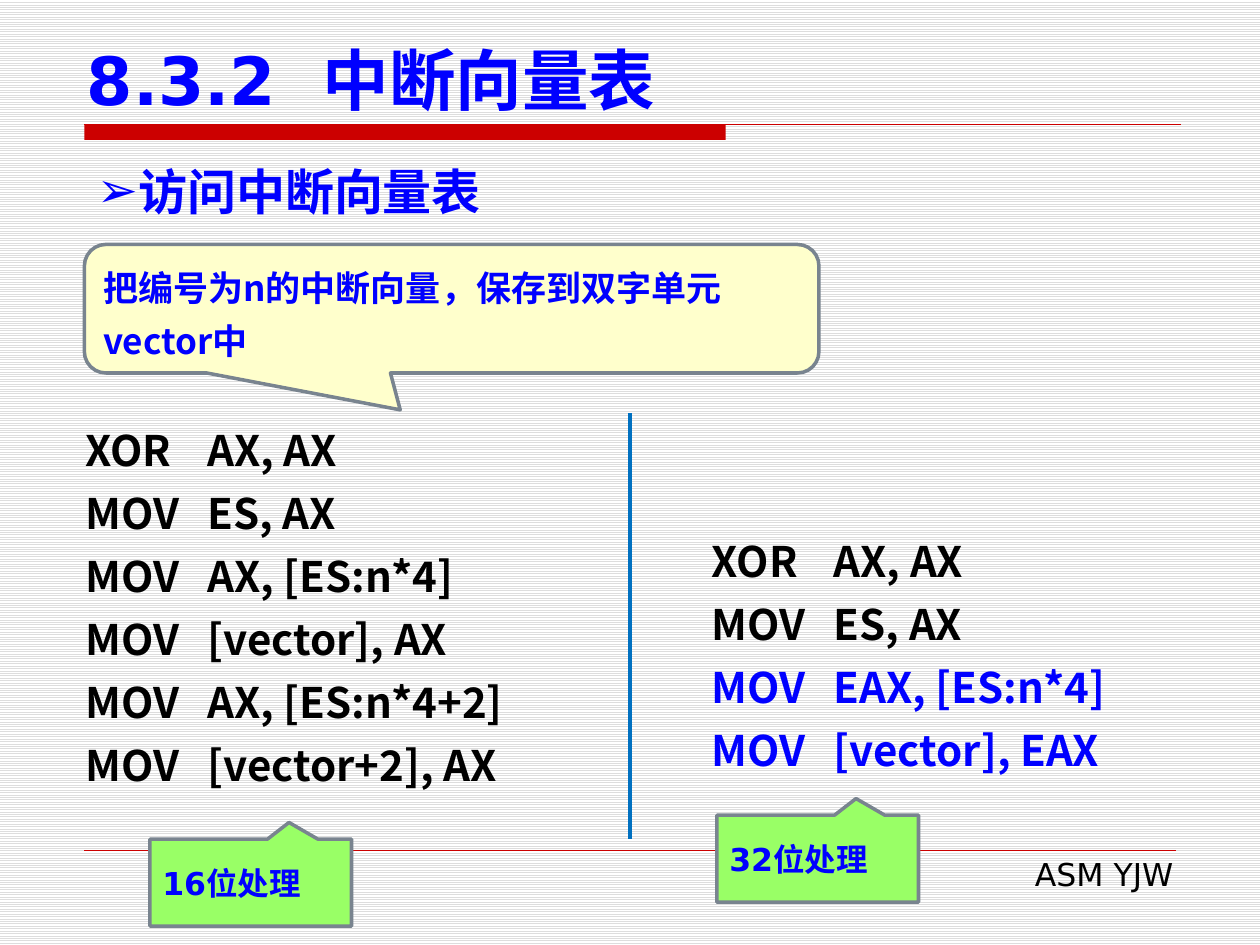
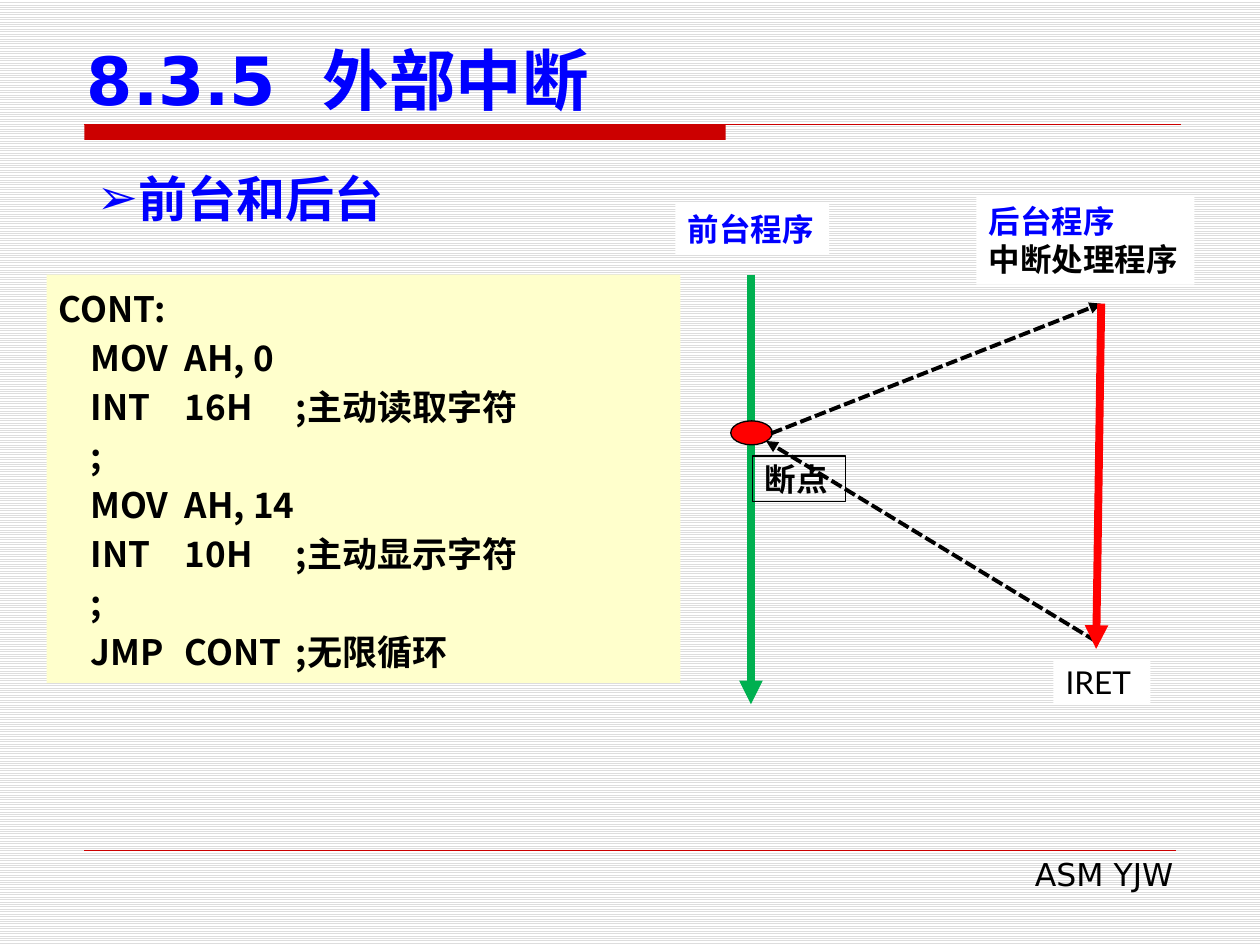
import dataclasses

import lxml.etree
import pptx
import pptx.dml.color
import pptx.enum.dml
import pptx.enum.shapes
import pptx.enum.text
import pptx.oxml.ns
import pptx.util

Inches = pptx.util.Inches
Pt = pptx.util.Pt
RGB = pptx.dml.color.RGBColor.from_string
SHAPE = pptx.enum.shapes.MSO_SHAPE
ALIGN = pptx.enum.text.PP_ALIGN
ANCHOR = pptx.enum.text.MSO_ANCHOR
qn = pptx.oxml.ns.qn


@dataclasses.dataclass(frozen=True)
class Theme:
    blue: str = "0000FF"
    black: str = "000000"
    white: str = "FFFFFF"
    red: str = "FF0000"
    bar: str = "CC0000"
    stripe: str = "DDDDDD"
    cream: str = "FFFFCC"
    lime: str = "99FF66"
    border: str = "79848F"
    divider: str = "0070C0"
    green: str = "00B050"
    head_font: str = "DejaVu Sans"
    code_font: str = "Noto Sans CJK SC"
    label_font: str = "Lato"
    title: int = 38
    heading: int = 28
    code: int = 24
    body: int = 20
    label: int = 18


T = Theme()


def box_of(*lengths):
    return [Inches(n) for n in lengths]


def add_xml(parent, tag, **attrs):
    return lxml.etree.SubElement(parent, qn(tag), attrs)


def add_run(p, text, size, font, color, bold=True):
    r = p.add_run()
    r.text = text
    r.font.size = Pt(size)
    r.font.bold = bold
    r.font.color.rgb = RGB(color)
    r.font.name = font
    add_xml(r._r.get_or_add_rPr(), "a:ea", typeface=T.code_font)


def write_lines(tf, lines, size, font, bold=True, spacing=None, stops=()):
    for i, (text, color) in enumerate(lines):
        p = tf.add_paragraph() if i else tf.paragraphs[0]
        p.alignment = ALIGN.LEFT
        if spacing:
            p.line_spacing = Pt(spacing)
        if stops:
            tabs = add_xml(p._p.get_or_add_pPr(), "a:tabLst")
            for stop in stops:
                add_xml(tabs, "a:tab", pos=str(Inches(stop)), algn="l")
        add_run(p, text, size, font, color)
        p.runs[0].font.bold = bold


def add_text(s, box):
    tf = s.shapes.add_textbox(*box_of(*box)).text_frame
    tf.word_wrap = True
    return tf


def add_box(s, kind, box, fill=None, line=None, width=0.75, adj=()):
    sp = s.shapes.add_shape(kind, *box_of(*box))
    sp.shadow.inherit = False
    if fill:
        sp.fill.solid()
        sp.fill.fore_color.rgb = RGB(fill)
    else:
        sp.fill.background()
    if line:
        sp.line.color.rgb = RGB(line)
        sp.line.width = Pt(width)
    else:
        sp.line.fill.background()
    for i, value in enumerate(adj):
        sp.adjustments[i] = value
    return sp


def add_line(s, start, end, color, width, dash=None, arrow=False):
    c = s.shapes.add_connector(
        pptx.enum.shapes.MSO_CONNECTOR.STRAIGHT, *box_of(*start, *end))
    c.line.color.rgb = RGB(color)
    c.line.width = Pt(width)
    ln = c.get_or_add_ln()
    if dash:
        add_xml(ln, "a:prstDash", val=dash)
    if arrow:
        add_xml(ln, "a:tailEnd", type="triangle")
    add_xml(c.element.spPr, "a:effectLst")
    return c


def add_label(s, box, lines, fill=T.white, line=None, bold=True):
    sp = add_box(s, SHAPE.RECTANGLE, box, fill, line)
    tf = sp.text_frame
    tf.word_wrap = False
    tf.vertical_anchor = ANCHOR.MIDDLE
    write_lines(tf, lines, T.label, T.label_font, bold)


def add_callout(s, kind, box, adj, fill, text, size, font, spacing=None):
    sp = add_box(s, kind, box, fill, T.border, 2, adj)
    sp.text_frame.vertical_anchor = ANCHOR.MIDDLE
    write_lines(sp.text_frame, [(text, T.blue)], size, font, spacing=spacing)


def add_code(tf, lines, size, spacing, stops):
    write_lines(tf, lines, size, T.code_font, spacing=spacing, stops=stops)


def add_heading(s, top, text):
    tf = add_text(s, (0.67, top, 8.66, 0.57))
    write_lines(tf, [(text, T.blue)], T.heading, T.head_font)
    pPr = tf.paragraphs[0]._p.get_or_add_pPr()
    pPr.set("marL", str(Inches(0.33)))
    pPr.set("indent", str(-Inches(0.33)))
    add_xml(pPr, "a:buFont", typeface=T.head_font)
    add_xml(pPr, "a:buChar", char="➢")


def add_titled_slide(prs, title):
    s = prs.slides.add_slide(prs.slide_layouts[5])
    sp = s.shapes.title
    sp.left, sp.top, sp.width, sp.height = box_of(0.59, 0.28, 9.06, 0.71)
    sp.text_frame.vertical_anchor = ANCHOR.BOTTOM
    write_lines(sp.text_frame, [(title, T.blue)], T.title, T.head_font)
    return s


def dress_layout(layout, s):
    fill = layout.background.fill
    fill.patterned()
    fill.pattern = pptx.enum.dml.MSO_PATTERN.LIGHT_HORIZONTAL
    fill.fore_color.rgb = RGB(T.stripe)
    fill.back_color.rgb = RGB(T.white)
    for ph in list(layout.placeholders):
        if ph.placeholder_format.type != pptx.enum.shapes.PP_PLACEHOLDER.TITLE:
            layout.shapes.element.remove(ph.element)

    add_box(s, SHAPE.RECTANGLE, (0.67, 0.99, 5.09, 0.12), T.bar)
    add_line(s, (0.67, 0.99), (9.37, 0.99), T.bar, 0.75)
    add_line(s, (0.67, 6.75), (9.33, 6.75), T.bar, 0.25)
    tf = add_text(s, (3.82, 6.74, 5.59, 0.4))
    write_lines(tf, [("ASM YJW", T.black)], T.label, T.head_font, bold=False)
    tf.paragraphs[0].alignment = ALIGN.RIGHT
    for sp in list(s.shapes):
        if not sp.is_placeholder:
            layout.shapes.element.append(sp.element)


def fill_vector_slide(s):
    add_heading(s, 1.23, "访问中断向量表")
    add_callout(s, SHAPE.ROUNDED_RECTANGULAR_CALLOUT, (0.67, 1.94, 5.83, 1.02),
                (-0.07, 0.787, 0.167), T.cream,
                "把编号为n的中断向量，保存到双字单元vector中",
                T.body, T.code_font, 30)

    setup = [("XOR\tAX, AX", T.black), ("MOV\tES, AX", T.black)]
    words = ["AX, [ES:n*4]", "[vector], AX", "AX, [ES:n*4+2]", "[vector+2], AX"]
    dwords = ["EAX, [ES:n*4]", "[vector], EAX"]
    for box, operands, color in (((0.58, 3.22, 4.3, 3.13), words, T.black),
                                 ((5.55, 4.1, 4.17, 2.12), dwords, T.blue)):
        lines = setup + [("MOV\t" + operand, color) for operand in operands]
        add_code(add_text(s, box), lines, T.code, 36, [0.97])

    add_line(s, (5, 3.28), (5, 6.66), T.divider, 2.25)
    for left, top, bits in ((1.19, 6.66, 16), (5.69, 6.47, 32)):
        add_callout(s, SHAPE.RECTANGULAR_CALLOUT, (left, top, 1.6, 0.69),
                    (0.19, -0.692), T.lime, f"{bits}位处理",
                    T.label, T.head_font)


def fill_external_slide(s):
    add_heading(s, 1.29, "前台和后台")
    sp = add_box(s, SHAPE.RECTANGLE, (0.37, 2.18, 5.03, 3.24), T.cream)
    sp.text_frame.vertical_anchor = ANCHOR.TOP
    code = ["CONT:", "\tMOV\tAH, 0", "\tINT\t16H\t;主动读取字符", "\t;",
            "\tMOV\tAH, 14", "\tINT\t10H\t;主动显示字符", "\t;",
            "\tJMP\tCONT\t;无限循环"]
    add_code(sp.text_frame, [(line, T.black) for line in code],
             T.body, 28, [0.25, 1.0, 1.88])

    add_line(s, (5.96, 2.18), (5.96, 5.59), T.green, 4.5, arrow=True)
    add_box(s, SHAPE.FLOWCHART_CONNECTOR, (5.8, 3.34, 0.33, 0.19),
            T.red, T.black)
    add_label(s, (5.97, 3.62, 0.74, 0.36), [("断点", T.black)], None, T.black)
    for start, end in (((6.12, 3.44), (8.74, 2.41)), ((8.7, 5.09), (6.08, 3.5))):
        add_line(s, start, end, T.black, 2.25, "sysDash", True)
    add_line(s, (8.74, 2.41), (8.7, 5.15), T.red, 4.5, arrow=True)
    add_label(s, (8.36, 5.24, 0.77, 0.35), [("IRET", T.black)], bold=False)
    add_label(s, (7.75, 1.55, 1.73, 0.71),
              [("后台程序", T.blue), ("中断处理程序", T.black)])
    add_label(s, (5.36, 1.62, 1.22, 0.4), [("前台程序", T.blue)])


def main():
    prs = pptx.Presentation()
    prs.slide_width, prs.slide_height = box_of(10, 7.5)
    vector = add_titled_slide(prs, "8.3.2  中断向量表")
    dress_layout(prs.slide_layouts[5], vector)
    fill_vector_slide(vector)
    fill_external_slide(add_titled_slide(prs, "8.3.5  外部中断"))
    prs.save("out.pptx")


main()
